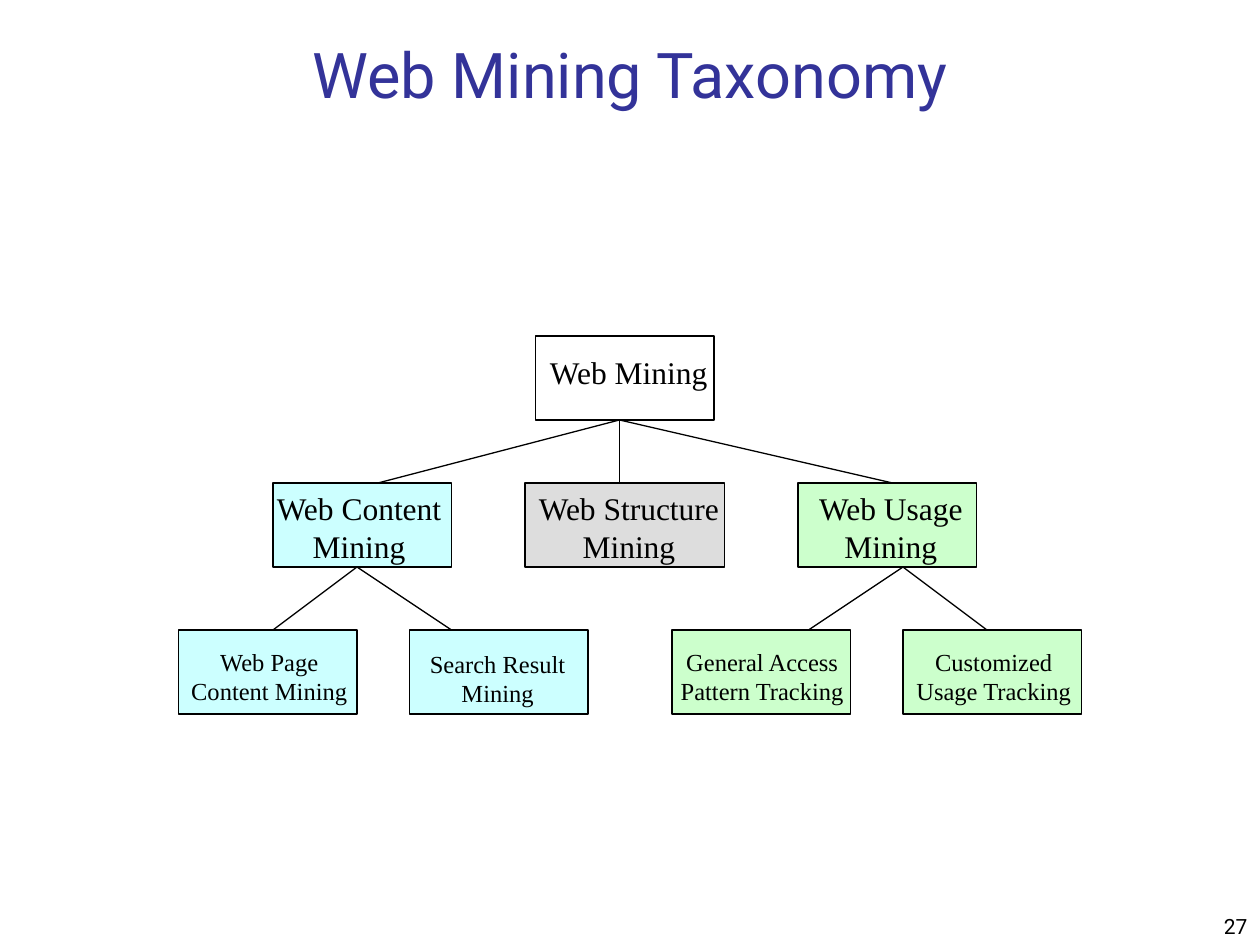
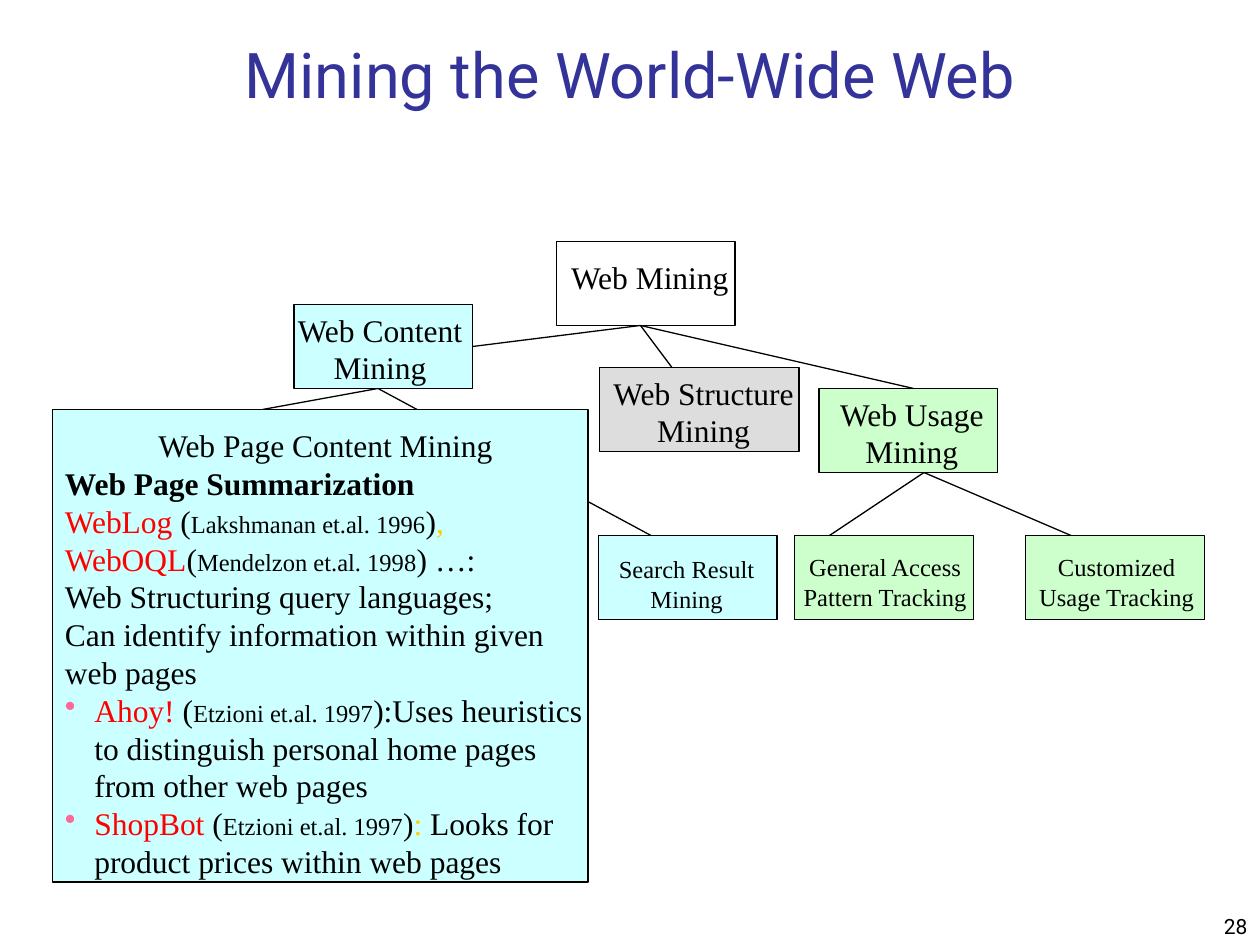
from lxml import etree
from pptx import Presentation
from pptx.dml.color import RGBColor
from pptx.enum.shapes import MSO_CONNECTOR, MSO_SHAPE
from pptx.enum.text import MSO_ANCHOR, MSO_AUTO_SIZE, PP_ALIGN
from pptx.oxml.ns import qn
from pptx.util import Pt

PX = 7620  # EMU per px, 120 px to the inch
LEFT, CENTER, RIGHT = PP_ALIGN.LEFT, PP_ALIGN.CENTER, PP_ALIGN.RIGHT
TOP, MIDDLE, BOTTOM = MSO_ANCHOR.TOP, MSO_ANCHOR.MIDDLE, MSO_ANCHOR.BOTTOM
NO_GROW, GROW = MSO_AUTO_SIZE.NONE, MSO_AUTO_SIZE.SHAPE_TO_FIT_TEXT
RECTANGLE, STRAIGHT = MSO_SHAPE.RECTANGLE, MSO_CONNECTOR.STRAIGHT

SANS, SERIF = "Roboto", "Times New Roman"
BLACK, TITLE_BLUE, RED, YELLOW, PINK = "000000", "333399", "FF0000", "FFCF01", "FF6699"
CONTENT_CYAN, STRUCTURE_GREY, USAGE_GREEN = "CCFFFF", "DDDDDD", "CCFFCC"
BOX_WIDTH, BOX_HEIGHT = 170, 80
BULLET_INDENT = 28

# topic: lines, fill, box width, text size, label offset, label width
TOPICS = {
    "root": (["Web Mining"], None, BOX_WIDTH, 18, (2, 10), 176),
    "content": (["Web Content", "Mining"], CONTENT_CYAN, BOX_WIDTH, 18, (-9, 0), 182),
    "structure": (["Web Structure", "Mining"], STRUCTURE_GREY, 190, 18, (0, 0), 198),
    "usage": (["Web Usage", "Mining"], USAGE_GREEN, BOX_WIDTH, 18, (7, 0), 163),
    "page": (["Web Page", "Content Mining"], CONTENT_CYAN, BOX_WIDTH, 14, (0, 10), 173),
    "search": (["Search Result", "Mining"], CONTENT_CYAN, BOX_WIDTH, 14, (7, 12), 154),
    "access": (["General Access", "Pattern Tracking"], USAGE_GREEN, BOX_WIDTH, 14, (-4, 10), 180),
    "custom": (["Customized", "Usage Tracking"], USAGE_GREEN, BOX_WIDTH, 14, (0, 10), 173),
}

# title, page number, topic positions, branches (start: ends)
SLIDES = [
    ("Web Mining Taxonomy", 27,
     {"root": (510, 320), "content": (260, 460), "structure": (500, 460), "usage": (760, 460),
      "page": (170, 600), "search": (390, 600), "access": (640, 600), "custom": (860, 600)},
     {(590, 400): [(360, 460), (590, 460), (850, 460)],
      (340, 540): [(260, 600), (430, 600)],
      (860, 540): [(770, 600), (940, 600)]}),
    ("Mining the World-Wide Web", 28,
     {"root": (530, 230), "content": (280, 290), "structure": (571, 350), "usage": (780, 370),
      "search": (570, 510), "access": (757, 510), "custom": (977, 510)},
     {(610, 310): [(450, 330), (640, 350), (870, 370)],
      (360, 370): [(250, 390), (620, 510)],
      (880, 450): [(790, 510), (1020, 510)]}),
]

# paragraphs of runs: a plain string, or text with its own format
SMALL = {"size": 14}
PAGE_MINING = [
    [("Web Page Summarization", {"bold": True})],
    [("WebLog ", {"color": RED}), "(", ("Lakshmanan et.al. 1996", SMALL), ")",
     (", ", {"color": YELLOW}), ("WebOQL", {"color": RED}), "(",
     ("Mendelzon et.al. 1998", SMALL), ") …:"],
    ["Web Structuring query languages;"],
    ["Can identify information within given web pages"],
]
PAGE_MINING_TOOLS = [
    [("Ahoy!", {"color": RED}), " (", ("Etzioni et.al. 1997", SMALL),
     "):Uses heuristics to distinguish personal home pages from other web pages"],
    [("ShopBot ", {"color": RED}), "(", ("Etzioni et.al. 1997", SMALL), ")",
     (": ", {"color": YELLOW}), "Looks for product prices within web pages"],
]


def write(frame, paragraphs, size=18, color=BLACK, font=SERIF, align=LEFT, anchor=TOP,
          wrap=True, grow=GROW, spacing=1.2, bullet=None):
    """Append paragraphs of runs; spacing is the line pitch in multiples of size."""
    frame.word_wrap, frame.auto_size, frame.vertical_anchor = wrap, grow, anchor
    for runs in paragraphs:
        paragraph = frame.add_paragraph() if frame.text else frame.paragraphs[0]
        paragraph.alignment = align
        if spacing:
            paragraph.line_spacing = Pt(size * spacing)
        if bullet:
            properties = paragraph._p.get_or_add_pPr()
            properties.set("marL", str(BULLET_INDENT * PX))
            properties.set("indent", str(-BULLET_INDENT * PX))
            bullet_color = etree.SubElement(properties, qn("a:buClr"))
            etree.SubElement(bullet_color, qn("a:srgbClr"), val=bullet)
            etree.SubElement(properties, qn("a:buChar"), char="•")
        for part in runs:
            text, own = (part, {}) if isinstance(part, str) else part
            run = paragraph.add_run()
            run.text = text
            run.font.name = font
            run.font.size = Pt(own.get("size", size))
            run.font.bold = own.get("bold", False)
            run.font.color.rgb = RGBColor.from_string(own.get("color", color))


def add_box(slide, left, top, width, height, fill):
    box = slide.shapes.add_shape(RECTANGLE, left * PX, top * PX, width * PX, height * PX)
    box.shadow.inherit = False
    box.line.color.rgb = RGBColor.from_string(BLACK)
    box.line.width = Pt(0.75)
    if fill:
        box.fill.solid()
        box.fill.fore_color.rgb = RGBColor.from_string(fill)
    else:
        box.fill.background()


deck = Presentation()
deck.slide_width, deck.slide_height = 1200 * PX, 900 * PX
title_only = deck.slide_layouts[5]

for heading, page_number, positions, branches in SLIDES:
    slide = deck.slides.add_slide(title_only)
    title = slide.shapes.title
    title.left, title.top, title.width, title.height = 0, 0, 1200 * PX, 140 * PX
    write(title.text_frame, [[heading]], size=36, color=TITLE_BLUE, font=SANS,
          align=CENTER, anchor=MIDDLE, grow=NO_GROW, spacing=None)

    for (start_x, start_y), ends in branches.items():
        for end_x, end_y in ends:
            branch = slide.shapes.add_connector(
                STRAIGHT, start_x * PX, start_y * PX, end_x * PX, end_y * PX)
            branch.line.color.rgb = RGBColor.from_string(BLACK)
            branch.line.width = Pt(0.75)
            etree.SubElement(branch._element.spPr, qn("a:effectLst"))

    for topic, (left, top) in positions.items():
        lines, fill, width, size, (shift_x, shift_y), label_width = TOPICS[topic]
        add_box(slide, left, top, width, BOX_HEIGHT, fill)
        label_height = 12 + len(lines) * (36 if size == 18 else 28)
        label = slide.shapes.add_textbox((left + shift_x) * PX, (top + shift_y) * PX,
                                         label_width * PX, label_height * PX)
        write(label.text_frame, [[line] for line in lines], size=size, wrap=False,
              align=LEFT if topic == "root" else CENTER)

    if "page" not in positions:
        add_box(slide, 50, 390, 510, 450, CONTENT_CYAN)
        details = slide.shapes.add_textbox(50 * PX, 400 * PX, 520 * PX, 444 * PX).text_frame
        write(details, [["Web Page Content Mining"]], align=CENTER)
        write(details, PAGE_MINING)
        write(details, PAGE_MINING_TOOLS, bullet=PINK)

    footer = slide.shapes.add_textbox(950 * PX, 840 * PX, 250 * PX, 60 * PX)
    write(footer.text_frame, [[str(page_number)]], size=12, font=SANS, align=RIGHT,
          anchor=BOTTOM, grow=NO_GROW, spacing=None)

deck.save("out.pptx")
